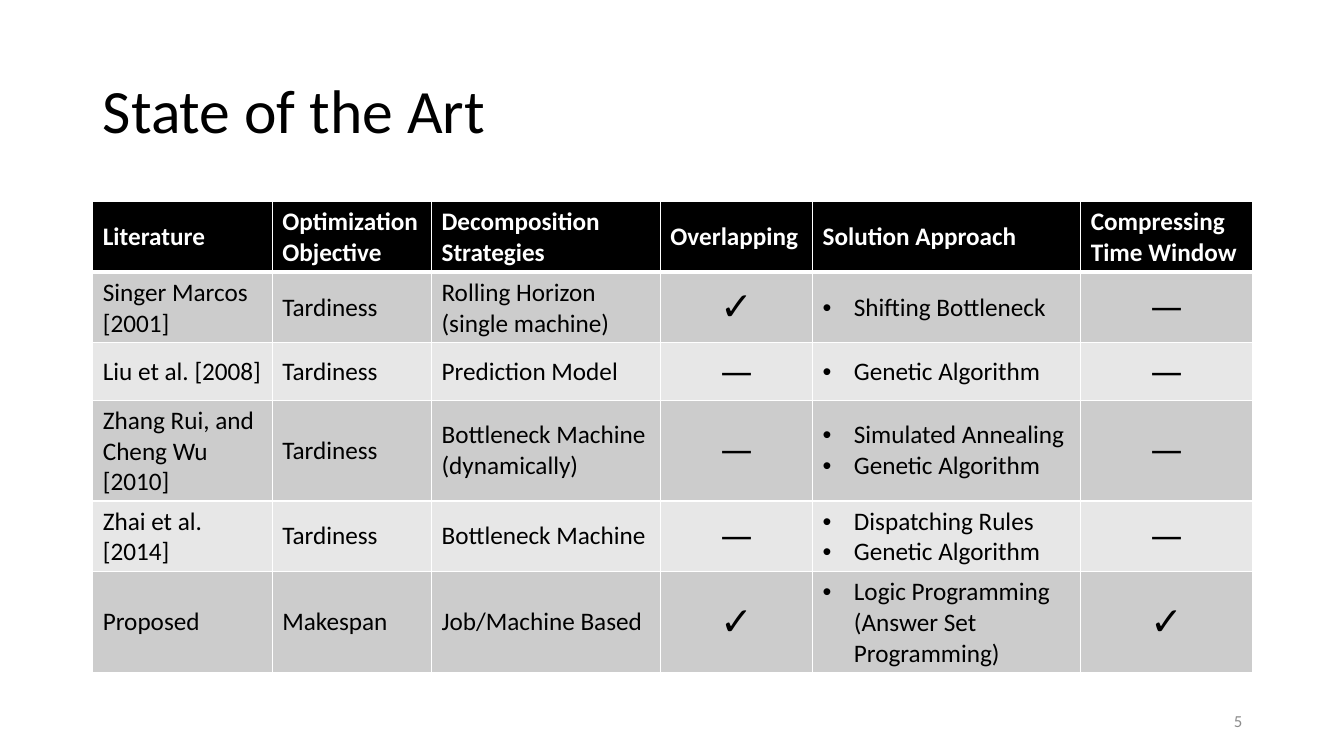
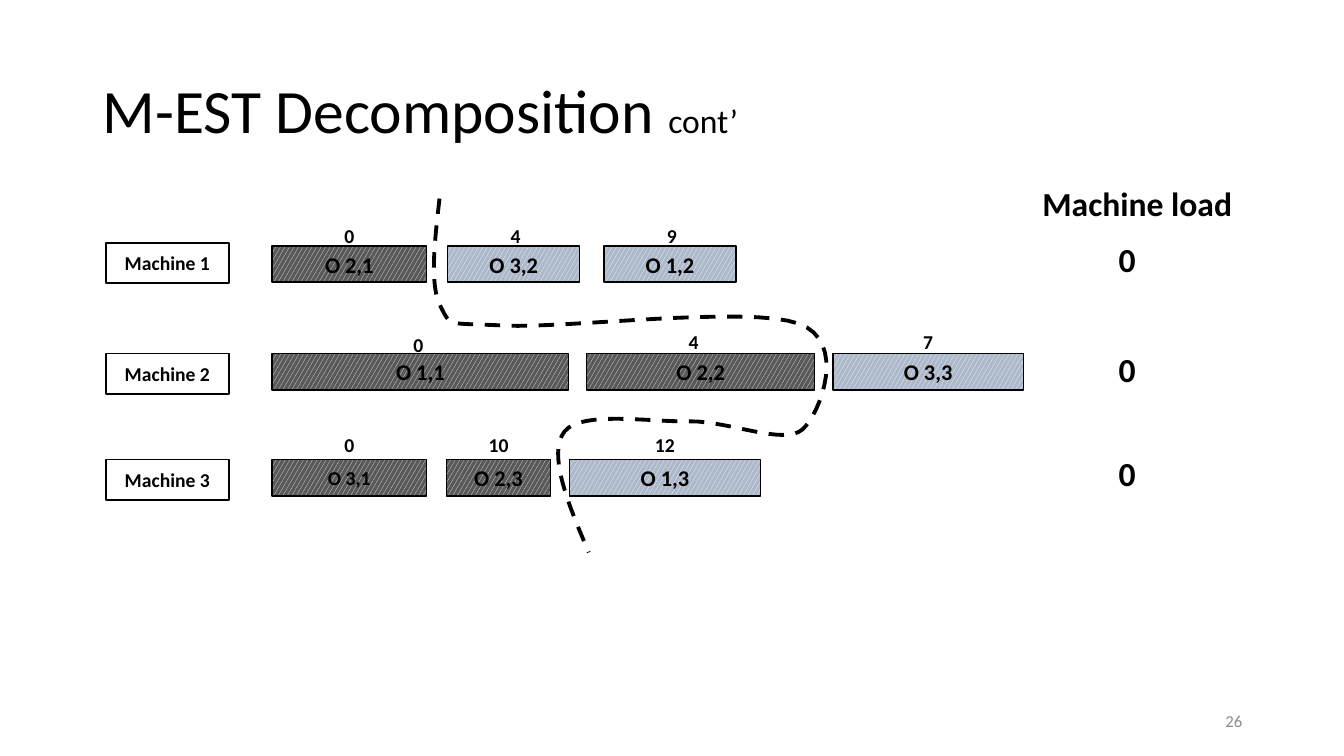
from dataclasses import dataclass
from typing import NamedTuple

from lxml.etree import SubElement as Sub
from pptx import Presentation
from pptx.dml.color import RGBColor as RGB
from pptx.enum.dml import MSO_LINE as Dash, MSO_PATTERN as Pat
from pptx.enum.shapes import MSO_SHAPE as Kind
from pptx.enum.text import MSO_ANCHOR as Anchor, MSO_AUTO_SIZE as Fit, PP_ALIGN as Align
from pptx.oxml.ns import qn
from pptx.util import Inches, Pt

# Shared look
BLACK = RGB(0x00, 0x00, 0x00)
WHITE = RGB(0xFF, 0xFF, 0xFF)
GREY = RGB(0x8C, 0x8C, 0x8C)
DARK = RGB(0x59, 0x59, 0x59)
BLUE = RGB(0xAD, 0xB9, 0xCA)
BANDS = RGB(0xCC, 0xCC, 0xCC), RGB(0xE7, 0xE7, 0xE7)
FONT = "Calibri"

# Grid: the slide is 133.3 columns by 75 rows of square cells
CELL = Inches(0.1)
COLS, ROWS = 133.3, 75
LEFT, SPAN = 9.2, 115


def grid(*cells: float) -> list[int]:
    return [round(n * CELL) for n in cells]


@dataclass
class Style:
    size: float
    bold: bool = False
    color: RGB = BLACK
    align: Align = Align.LEFT


class Lane(NamedTuple):
    name: str
    box: float
    bar: float
    note: float
    load: float


@dataclass
class Task:
    lane: int
    left: float
    width: float
    name: str
    start: str
    fill: RGB = DARK
    size: float = 16
    shift: float = 0  # start label, off the bar's middle
    drop: float = 0


# Text
def add_run(para, text: str, style: Style) -> None:
    run = para.add_run()
    run.text = text
    font = run.font
    font.name, font.size, font.bold = FONT, Pt(style.size), style.bold
    font.color.rgb = style.color
    para.alignment = style.align


def add_text(slide, area: tuple, text: str, style: Style, anchor=Anchor.TOP) -> None:
    frame = slide.shapes.add_textbox(*grid(*area)).text_frame
    frame.word_wrap = True
    frame.vertical_anchor = anchor
    add_run(frame.paragraphs[0], text, style)


def add_page(deck, number: str, title: str, tail: str = ""):
    slide = deck.slides.add_slide(deck.slide_layouts[5])
    head = slide.shapes.title
    head.left, head.top, head.width, head.height = grid(LEFT, 4, SPAN, 14.5)
    frame = head.text_frame
    frame.auto_size = Fit.NONE
    frame.vertical_anchor = Anchor.MIDDLE
    para = frame.paragraphs[0]
    para.line_spacing = 0.9
    add_run(para, title, Style(44))
    if tail:
        add_run(para, tail, Style(24))
    add_text(slide, (94.2, 69.5, 30, 4), number,
             Style(12, color=GREY, align=Align.RIGHT), Anchor.MIDDLE)
    return slide


# Table
HEADS = ("Literature", "Optimization Objective", "Decomposition Strategies",
         "Overlapping", "Solution Approach", "Compressing Time Window")
WORKS = (
    ("Singer Marcos [2001]", "Tardiness", "Rolling Horizon (single machine)",
     "✓", "Shifting Bottleneck", "—"),
    ("Liu et al. [2008]", "Tardiness", "Prediction Model",
     "—", "Genetic Algorithm", "—"),
    ("Zhang Rui, and Cheng Wu [2010]", "Tardiness", "Bottleneck Machine (dynamically)",
     "—", "Simulated Annealing\nGenetic Algorithm", "—"),
    ("Zhai et al. [2014]", "Tardiness", "Bottleneck Machine",
     "—", "Dispatching Rules\nGenetic Algorithm", "—"),
    ("Proposed", "Makespan", "Job/Machine Based",
     "✓", "Logic Programming (Answer Set Programming)", "✓"),
)
WIDTHS = 17.8, 15.8, 22.7, 15.1, 26.6, 17
HEIGHTS = 7, 7, 5.7, 10, 7, 10
MARKS, LISTS = (3, 5), 4


def add_bullet(para) -> None:
    props = para._p.get_or_add_pPr()
    hang = grid(3.1)[0]
    props.set("marL", str(hang))
    props.set("indent", str(-hang))
    Sub(props, qn("a:buFont"), typeface="Arial")
    Sub(props, qn("a:buChar"), char="•")


def add_edges(cell, top: float, base: float) -> None:
    props = cell._tc.get_or_add_tcPr()
    for side, width in (("L", 1), ("R", 1), ("T", top), ("B", base)):
        line = Sub(props, qn(f"a:ln{side}"), w=str(Pt(width)))
        Sub(Sub(line, qn("a:solidFill")), qn("a:srgbClr"), val=str(WHITE))


def fill_cell(cell, row: int, col: int, text: str) -> None:
    add_edges(cell, 3 if row == 1 else 1, 1 if row else 3)
    cell.fill.solid()
    cell.fill.fore_color.rgb = BANDS[(row - 1) % 2] if row else BLACK
    cell.vertical_anchor = Anchor.MIDDLE
    if not row:
        style = Style(18, True, WHITE)
    elif col in MARKS:
        style = Style(28, align=Align.CENTER)
    else:
        style = Style(18)
    frame = cell.text_frame
    for i, item in enumerate(text.split("\n")):
        para = frame.add_paragraph() if i else frame.paragraphs[0]
        if row and col == LISTS:
            add_bullet(para)
        add_run(para, item, style)


def draw_works(deck) -> None:
    slide = add_page(deck, "5", "State of the Art")
    rows = (HEADS, *WORKS)
    area = grid(LEFT, 20, SPAN, sum(HEIGHTS))
    table = slide.shapes.add_table(len(rows), len(HEADS), *area).table
    for col, width in zip(table.columns, grid(*WIDTHS)):
        col.width = width
    for row, height in zip(table.rows, grid(*HEIGHTS)):
        row.height = height
    for r, texts in enumerate(rows):
        for c, text in enumerate(texts):
            fill_cell(table.cell(r, c), r, c, text)


# Schedule
LANES = (
    Lane("Machine 1", 24.1, 24.4, 21.7, 23.2),
    Lane("Machine 2", 35.1, 35.1, 32.2, 34.1),
    Lane("Machine 3", 45.6, 45.6, 42.5, 44.4),
)
TASKS = (
    Task(0, 27, 15.3, "O 2,1", "0"),
    Task(0, 44.4, 13.1, "O 3,2", "4", BLUE, shift=0.2),
    Task(0, 59.9, 13.1, "O 1,2", "9", BLUE, shift=0.2),
    Task(1, 27, 29.4, "O 1,1", "0", shift=-0.2, drop=0.3),
    Task(1, 58.2, 22.6, "O 2,2", "4", shift=-0.7),
    Task(1, 82.6, 18.9, "O 3,3", "7", BLUE),
    Task(2, 27, 15.3, "O 3,1", "0", size=14),
    Task(2, 44.3, 10.3, "O 2,3", "10"),
    Task(2, 56.5, 18.9, "O 1,3", "12", BLUE),
)
# Start point, then two handles and an end point for each bend
CUT = (
    (43.6, 19.7),
    (43.1, 24), (42.6, 28.3), (43.7, 30.4),
    (44.8, 32.5), (44.2, 32), (50.1, 32.3),
    (56, 32.6), (74.2, 30.3), (79.2, 32.1),
    (84.1, 33.8), (81.4, 41), (79.6, 42.6),
    (77.8, 44.2), (72.4, 41.8), (68.5, 41.8),
    (64.6, 41.9), (57.7, 40.7), (56, 42.8),
    (54.3, 45), (56.3, 49.9), (58.4, 54.8),
)
STEPS = 16


def add_box(slide, area: tuple, text: str, size: float, fill: RGB | None = None) -> None:
    box = slide.shapes.add_shape(Kind.RECTANGLE, *grid(*area))
    box.shadow.inherit = False
    box.line.color.rgb = BLACK
    box.line.width = Pt(1)
    if fill is None:
        box.fill.background()
    else:
        box.fill.patterned()
        box.fill.pattern = Pat.LARGE_CONFETTI
        box.fill.fore_color.rgb = WHITE
        box.fill.back_color.rgb = fill
    box.text_frame.vertical_anchor = Anchor.MIDDLE
    add_run(box.text_frame.paragraphs[0], text, Style(size, True, align=Align.CENTER))


def add_task(slide, task: Task) -> None:
    lane = LANES[task.lane]
    add_box(slide, (task.left, lane.bar, task.width, 3.6), task.name, task.size, task.fill)
    mid = task.left + task.width / 2 + task.shift
    add_text(slide, (mid - 3, lane.note + task.drop, 6, 3.4), task.start,
             Style(14, True, align=Align.CENTER))


def bend(knots: tuple, t: float) -> list[int]:
    """Point at share t of a cubic curve."""
    u = 1 - t
    parts = u ** 3, 3 * u * u * t, 3 * u * t * t, t ** 3
    return grid(*(sum(w * k[axis] for w, k in zip(parts, knots)) for axis in (0, 1)))


def add_cut(slide) -> None:
    dots = [bend(CUT[i:i + 4], n / STEPS)
            for i in range(0, len(CUT) - 1, 3) for n in range(1, STEPS + 1)]
    pen = slide.shapes.build_freeform(*grid(*CUT[0]))
    pen.add_line_segments(dots, close=False)
    curve = pen.convert_to_shape()
    curve.shadow.inherit = False
    curve.fill.background()
    curve.line.color.rgb = BLACK
    curve.line.width = Pt(2.75)
    curve.line.dash_style = Dash.DASH


def draw_plan(deck) -> None:
    slide = add_page(deck, "26", "M-EST Decomposition ", "cont’")
    load = Style(24, True, align=Align.CENTER)
    add_text(slide, (101.3, 17.7, 23, 5), "Machine load", load)
    for lane in LANES:
        add_box(slide, (10.5, lane.box, 12.2, 4), lane.name, 14)
        add_text(slide, (108.8, lane.load, 6, 5), "0", load)
    for task in TASKS:
        add_task(slide, task)
    add_cut(slide)


def main() -> None:
    deck = Presentation()
    deck.slide_width, deck.slide_height = grid(COLS, ROWS)
    draw_works(deck)
    draw_plan(deck)
    deck.save("out.pptx")


if __name__ == "__main__":
    main()
